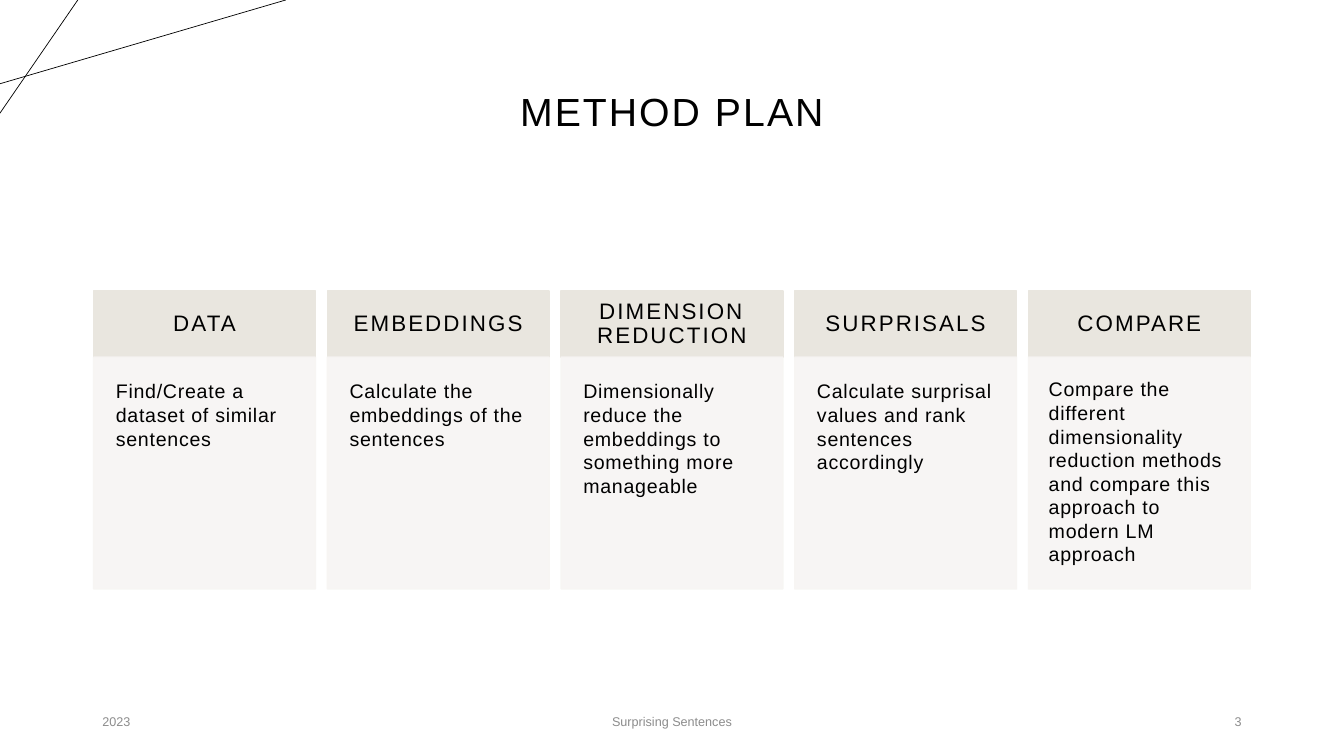
"""Builds the method plan slide with five step cards."""
import pptx
import pptx.util
import pptx.dml.color
import pptx.enum.shapes
import pptx.enum.text
import lxml.etree

Cm = pptx.util.Cm
Pt = pptx.util.Pt
RGBColor = pptx.dml.color.RGBColor
ALIGN = pptx.enum.text.PP_ALIGN
ANCHOR = pptx.enum.text.MSO_ANCHOR
RECT = pptx.enum.shapes.MSO_SHAPE.RECTANGLE
LINE = pptx.enum.shapes.MSO_CONNECTOR.STRAIGHT

BLACK = RGBColor(0x00, 0x00, 0x00)
GREY = RGBColor(0x8C, 0x8C, 0x8C)
SAND = RGBColor(0xE9, 0xE6, 0xDF)
PALE = RGBColor(0xF7, 0xF5, 0xF3)


def write(shape, text, size, align, color=BLACK, space=0, lead=1.0, anchor=ANCHOR.MIDDLE):
    frame = shape.text_frame
    frame.word_wrap = True
    frame.auto_size = pptx.enum.text.MSO_AUTO_SIZE.NONE
    frame.vertical_anchor = anchor
    frame.text = text
    para = frame.paragraphs[0]
    para.alignment = align
    para.line_spacing = lead
    font = para.font
    font.name = "Arial"
    font.size = Pt(size)
    font.color.rgb = color
    font._element.set("spc", str(space))


def panel(left, top, height, color, inset):
    box = slide.shapes.add_shape(RECT, Cm(left), Cm(top), Cm(5.59), Cm(height))
    box.shadow.inherit = False
    box.fill.solid()
    box.fill.fore_color.rgb = color
    box.line.color.rgb = color
    box.line.width = Pt(1)
    frame = box.text_frame
    frame.margin_left = frame.margin_right = Cm(inset)
    frame.margin_top = frame.margin_bottom = Cm(inset)
    return box


deck = pptx.Presentation()
deck.slide_width = Cm(33.87)
deck.slide_height = Cm(19.05)
slide = deck.slides.add_slide(deck.slide_layouts[5])

for x1, y1, x2, y2 in [(0, 2.11, 7.2, 0), (1.96, 0, 0, 2.85)]:
    line = slide.shapes.add_connector(LINE, Cm(x1), Cm(y1), Cm(x2), Cm(y2))
    line.line.color.rgb = BLACK
    line.line.width = Pt(0.5)
    lxml.etree.SubElement(line._element.spPr, pptx.oxml.ns.qn("a:effectLst"))

title = slide.shapes.title
title.left, title.top, title.width, title.height = Cm(2.33), Cm(1.02), Cm(29.21), Cm(3.68)
write(title, "METHOD PLAN", 28, ALIGN.CENTER, space=150, lead=0.9)

steps = [
    ("DATA", "Find/Create a dataset of similar sentences", 0.56),
    ("EMBEDDINGS", "Calculate the embeddings of the sentences", 0.56),
    ("DIMENSION REDUCTION",
     "Dimensionally reduce the embeddings to something more manageable", 0.56),
    ("SURPRISALS", "Calculate surprisal values and rank sentences accordingly", 0.56),
    ("COMPARE",
     "Compare the different dimensionality reduction methods and compare "
     "this approach to modern LM approach", 0.51),
]
for i, (name, text, inset) in enumerate(steps):
    left = 2.36 + 5.89 * i
    head = panel(left, 7.33, 1.68, SAND, 0.43)
    write(head, name, 16, ALIGN.CENTER, space=150, lead=0.9)
    body = panel(left, 9.0, 5.84, PALE, inset)
    write(body, text, 14, ALIGN.LEFT, space=50, anchor=ANCHOR.TOP)
    for tint in body._element.spPr.iter(pptx.oxml.ns.qn("a:srgbClr")):
        lxml.etree.SubElement(tint, pptx.oxml.ns.qn("a:alpha"), val="90000")

notes = [
    ("2023", 2.33, 7.62, ALIGN.LEFT),
    ("Surprising Sentences", 11.22, 11.43, ALIGN.CENTER),
    ("3", 23.92, 7.62, ALIGN.RIGHT),
]
for text, left, width, align in notes:
    foot = slide.shapes.add_textbox(Cm(left), Cm(17.66), Cm(width), Cm(1.02))
    write(foot, text, 9, align, GREY)

deck.save("out.pptx")
